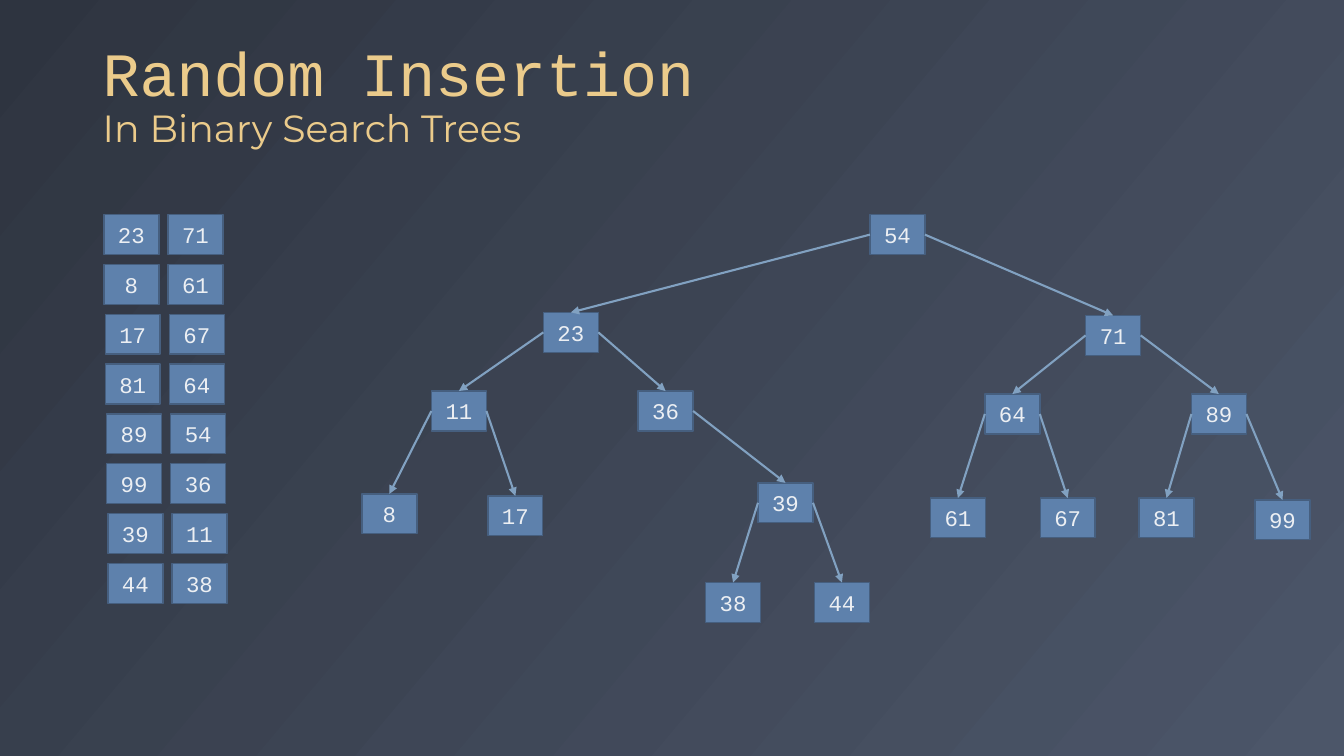
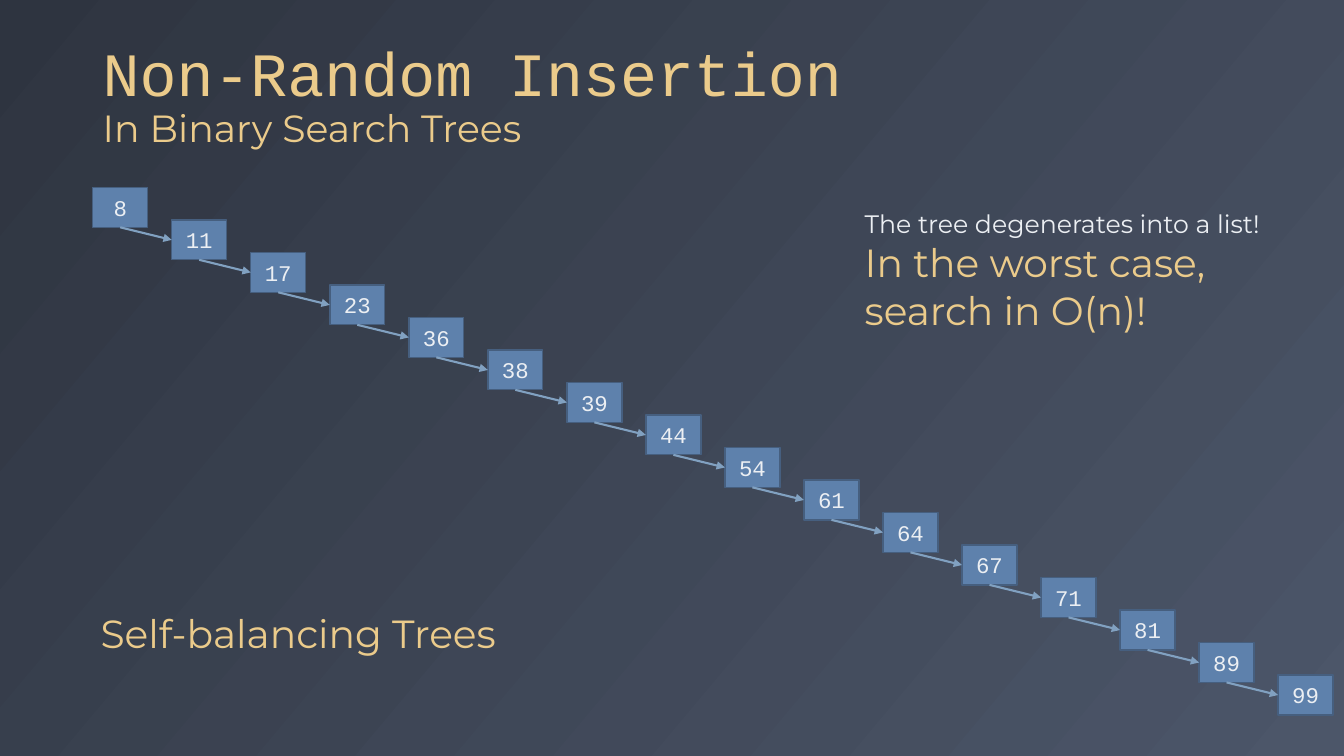
from typing import NamedTuple, Optional

from lxml.etree import SubElement
from pptx import Presentation
from pptx.dml.color import RGBColor
from pptx.enum.shapes import MSO_CONNECTOR, MSO_SHAPE
from pptx.enum.text import MSO_ANCHOR, MSO_AUTO_SIZE, PP_ALIGN
from pptx.oxml.ns import qn
from pptx.util import Inches, Pt

COLORS = {
    "night": "2E3440", "slate": "4C5669", "gold": "EBCB8B", "snow": "ECEFF3",
    "node": "5E81AC", "node edge": "465F7F", "arrow": "81A1C1",
}
MONO, SANS = "Courier New", "Montserrat"
SLIDE_WIDTH, SLIDE_HEIGHT = Inches(13.333), Inches(7.5)
NODE_WIDTH, NODE_HEIGHT = 4.09, 5.27  # percent of the slide, as all positions
TOP, LEFT, BOTTOM, RIGHT = range(4)  # connection sites of a rectangle


class Span(NamedTuple):
    """A run of text with its look."""
    text: str
    size: float
    font: str = SANS
    color: str = "gold"


class Node(NamedTuple):
    """A key of a tree, its place and its parent's key."""
    key: int
    left: float
    top: float
    parent: Optional[int] = None


INSERTED = (
    (23, 8, 17, 81, 89, 99, 39, 44),
    (71, 61, 67, 64, 54, 36, 11, 38),
)
QUEUE = [
    Node(key, 7.73 + 4.77 * column + 0.1 * (row // 2), 28.4 + 6.59 * row)
    for column, keys in enumerate(INSERTED) for row, key in enumerate(keys)
]
BALANCED = [
    Node(54, 64.73, 28.4),
    Node(23, 40.43, 41.33, 54), Node(71, 80.78, 41.73, 54),
    Node(11, 32.1, 51.73, 23), Node(36, 47.48, 51.73, 23),
    Node(64, 73.28, 52.13, 71), Node(89, 88.65, 52.13, 71),
    Node(8, 26.93, 65.33, 11), Node(17, 36.3, 65.6, 11),
    Node(39, 56.4, 63.87, 36),
    Node(61, 69.23, 65.87, 64), Node(67, 77.4, 65.87, 64),
    Node(81, 84.75, 65.87, 89), Node(99, 93.38, 66.13, 89),
    Node(38, 52.5, 77.07, 39), Node(44, 60.6, 77.07, 39),
]
SORTED_KEYS = sorted(node.key for node in BALANCED)
CHAIN = [
    Node(key, 6.9 + 5.88 * step, 24.8 + 4.3 * step, parent)
    for step, (key, parent) in enumerate(zip(SORTED_KEYS, [None] + SORTED_KEYS))
]


def rgb(name: str) -> RGBColor:
    """Look up a colour of the deck."""
    return RGBColor.from_string(COLORS[name])


def area(left: float, top: float, width: float, height: float) -> tuple:
    """Turn percentages of the slide into lengths."""
    return (round(SLIDE_WIDTH * left / 100), round(SLIDE_HEIGHT * top / 100),
            round(SLIDE_WIDTH * width / 100), round(SLIDE_HEIGHT * height / 100))


def add_span(para, span: Span) -> None:
    """Add one run to a paragraph."""
    run = para.add_run()
    run.text = span.text
    run.font.size = Pt(span.size)
    run.font.name = span.font
    run.font.color.rgb = rgb(span.color)


def add_page(deck, title: str):
    """Add a slide with the shared background and two-line title."""
    page = deck.slides.add_slide(deck.slide_layouts[6])
    fill = page.background.fill
    fill.gradient()
    fill.gradient_angle = 320
    for stop, color in zip(fill.gradient_stops, ("night", "slate")):
        stop.color.rgb = rgb(color)
    box = page.shapes.add_textbox(*area(6.9, 2.4, 86.25, 18.13))
    frame = box.text_frame
    frame.word_wrap = True
    frame.vertical_anchor = MSO_ANCHOR.BOTTOM
    para = frame.paragraphs[0]
    para.line_spacing = 0.9
    add_span(para, Span(title, 44, MONO))
    para.add_line_break()
    add_span(para, Span("In Binary Search Trees", 27))
    return page


def add_node(shapes, node: Node):
    """Draw one key in its rectangle."""
    box = shapes.add_shape(
        MSO_SHAPE.RECTANGLE, *area(node.left, node.top, NODE_WIDTH, NODE_HEIGHT))
    box.shadow.inherit = False
    box.fill.solid()
    box.fill.fore_color.rgb = rgb("node")
    box.line.color.rgb = rgb("node edge")
    box.line.width = Pt(1)
    box.text_frame.vertical_anchor = MSO_ANCHOR.MIDDLE
    para = box.text_frame.paragraphs[0]
    para.alignment = PP_ALIGN.CENTER
    add_span(para, Span(str(node.key), 16, MONO, "snow"))
    return box


def add_arrow(page, parent, start: int, child, end: int) -> None:
    """Join two boxes at the given sites with an arrow."""
    arrow = page.shapes.add_connector(MSO_CONNECTOR.STRAIGHT, 0, 0, 0, 0)
    arrow.begin_connect(parent, start)
    arrow.end_connect(child, end)
    arrow.line.color.rgb = rgb("arrow")
    arrow.line.width = Pt(1.5)
    properties = arrow.element.spPr
    SubElement(properties.find(qn("a:ln")), qn("a:tailEnd"), type="triangle")
    SubElement(properties, qn("a:effectLst"))


def add_tree(page, nodes: list, as_chain: bool = False) -> None:
    """Draw all nodes, then the arrows from parents to children."""
    boxes = {node.key: add_node(page.shapes, node) for node in nodes}
    for node in nodes:
        if node.parent is None:
            continue
        if as_chain:
            start, end = BOTTOM, LEFT
        else:
            start, end = LEFT if node.key < node.parent else RIGHT, TOP
        add_arrow(page, boxes[node.parent], start, boxes[node.key], end)


def add_note(page, place: tuple, spans: list) -> None:
    """Add a text box with one paragraph for each span."""
    box = page.shapes.add_textbox(*area(*place))
    frame = box.text_frame
    frame.word_wrap = False
    frame.auto_size = MSO_AUTO_SIZE.SHAPE_TO_FIT_TEXT
    for index, span in enumerate(spans):
        para = frame.add_paragraph() if index else frame.paragraphs[0]
        add_span(para, span)


def random_page(deck) -> None:
    """Show the insertion order and the tree it gives."""
    page = add_page(deck, "Random Insertion")
    queue = page.shapes.add_group_shape()
    for node in QUEUE:
        add_node(queue.shapes, node)
    add_tree(page, BALANCED)


def sorted_page(deck) -> None:
    """Show how sorted keys make a list."""
    page = add_page(deck, "Non-Random Insertion")
    add_tree(page, CHAIN, as_chain=True)
    add_note(page, (63.6, 26.93, 31.35, 18), [
        Span("The tree degenerates into a list!", 18, color="snow"),
        Span("In the worst case,", 28),
        Span("search in O(n)!", 28),
    ])
    add_note(page, (6.75, 80, 31.43, 7.6), [Span("Self-balancing Trees", 28)])


def main() -> None:
    """Build and save the deck."""
    deck = Presentation()
    deck.slide_width, deck.slide_height = SLIDE_WIDTH, SLIDE_HEIGHT
    random_page(deck)
    sorted_page(deck)
    deck.save("out.pptx")


main()
